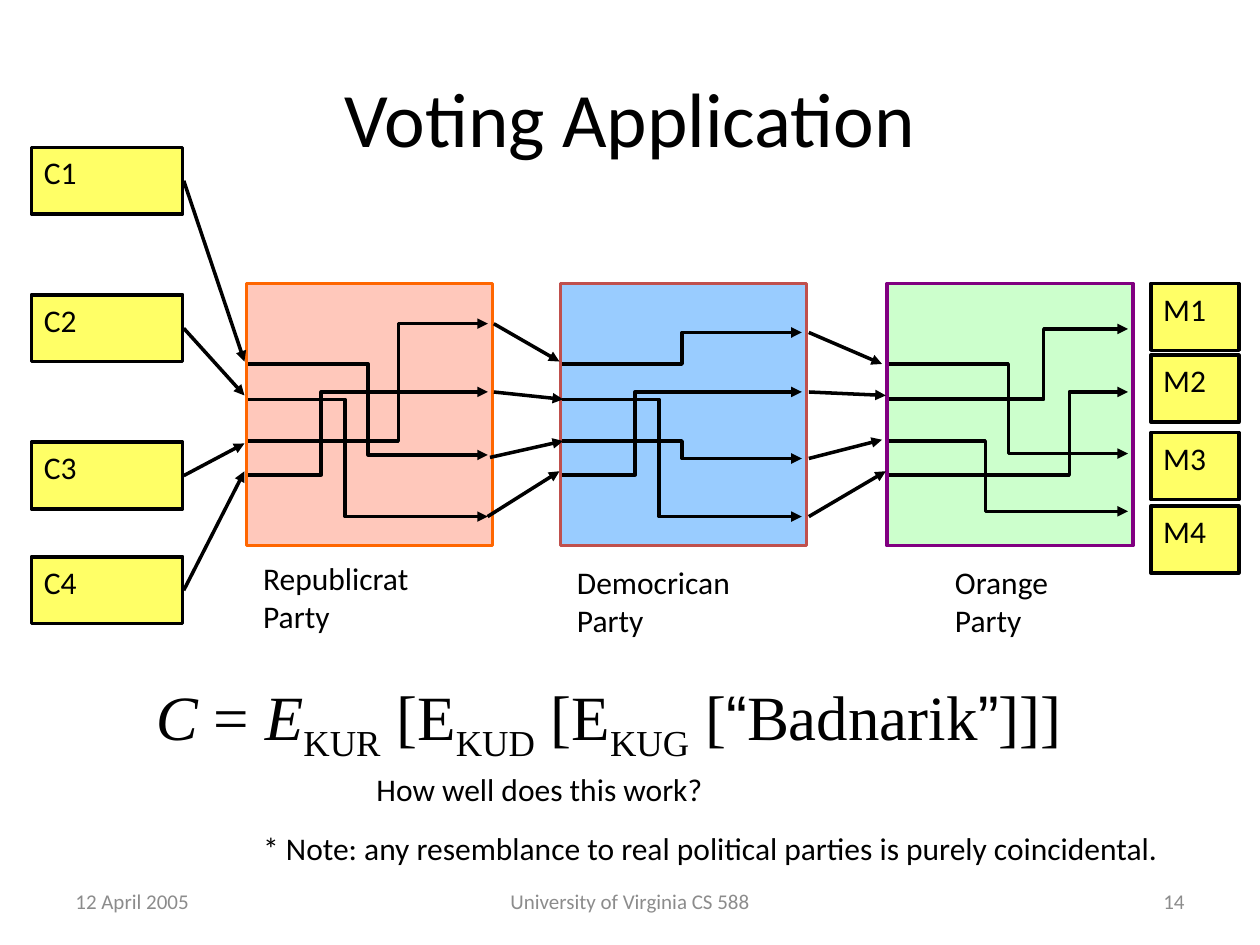
from pptx import Presentation
from pptx.dml.color import RGBColor
from pptx.enum.shapes import MSO_CONNECTOR as Connector, MSO_SHAPE as Shape
from pptx.enum.text import MSO_ANCHOR as Anchor, PP_ALIGN as Align
from pptx.oxml.ns import qn
from pptx.util import Pt
from lxml.etree import SubElement

THEME = {
    "font": "Calibri", "math": "Times New Roman", "quote": "Arial",
    "title": 44, "formula": 36, "body": 18, "footer": 12,
    "ink": "000000", "muted": "8C8C8C", "card": "FFFF66", "line": 2,
}

presentation = Presentation()
presentation.slide_width, presentation.slide_height = Pt(720), Pt(540)
slide = presentation.slides.add_slide(presentation.slide_layouts[6])


def write(text, left, top, width, height, size="body", color="ink",
          align=Align.LEFT, anchor=Anchor.TOP, fill=None, line="000000"):
    """Lines of text, each a string or a list of (text, font, italic, baseline)."""
    box = [Pt(value) for value in (left, top, width, height)]
    if fill:
        shape = slide.shapes.add_shape(Shape.RECTANGLE, *box)
        shape.shadow.inherit = False
        shape.fill.solid()
        shape.fill.fore_color.rgb = RGBColor.from_string(fill)
        shape.line.color.rgb = RGBColor.from_string(line)
        shape.line.width = Pt(THEME["line"])
    else:
        shape = slide.shapes.add_textbox(*box)
    frame = shape.text_frame
    frame.word_wrap = True
    frame.vertical_anchor = anchor
    for index, content in enumerate(text):
        paragraph = frame.add_paragraph() if index else frame.paragraphs[0]
        paragraph.alignment = align
        if isinstance(content, str):
            content = [(content, "font", False, 0)]
        for words, font, italic, baseline in content:
            run = paragraph.add_run()
            run.text = words
            run.font.name = THEME[font]
            run.font.size = Pt(THEME[size])
            run.font.italic = italic
            run.font.color.rgb = RGBColor.from_string(THEME[color])
            if baseline:
                run.font._element.set("baseline", str(baseline * 1000))


def arrow(start, end, turn=None):
    """Straight arrow, or an elbow bending at the given share of its width."""
    kind = Connector.STRAIGHT if turn is None else Connector.ELBOW
    connector = slide.shapes.add_connector(
        kind, *[Pt(value) for value in (*start, *end)])
    connector.line.color.rgb = RGBColor.from_string(THEME["ink"])
    connector.line.width = Pt(THEME["line"])
    properties = connector._element.spPr
    SubElement(properties.find(qn("a:ln")), qn("a:tailEnd"), type="triangle")
    SubElement(properties, qn("a:effectLst"))
    if turn is not None:
        guides = properties.find(qn("a:prstGeom")).get_or_add_avLst()
        SubElement(guides, qn("a:gd"), name="adj1",
                   fmla=f"val {round(turn * 100000)}")


# Footer and title
for text, left, width, align in [
    ("12 April 2005", 36, 168, Align.LEFT),
    ("University of Virginia CS 588", 246, 228, Align.CENTER),
    ("14", 516, 168, Align.RIGHT),
]:
    write([text], left, 500.5, width, 28.75, size="footer", color="muted",
          align=align, anchor=Anchor.MIDDLE)
write(["Voting Application"], 36, 21.6, 648, 90, size="title",
      align=Align.CENTER, anchor=Anchor.MIDDLE)

# Parties, each shuffling four inputs to (output height, turn)
input_heights = [208, 228.2, 252, 271.4]
parties = [
    ("Republicrat", 141, "FFC8BB", "FF6600", (143.3, 316),
     [(260, 0.5), (295.2, 0.404), (185, 0.626), (224, 0.304)]),
    ("Democrican", 320.4, "99CCFF", "C0504D", (322.6, 318.2),
     [(190, 0.5), (295.2, 0.404), (262, 0.5), (224, 0.304)]),
    ("Orange", 506.8, "CCFFCC", "800080", (538.6, 318.2),
     [(259.2, 0.5), (188, 0.648), (292.2, 0.404), (224, 0.755)]),
]
for name, left, fill, line, label, wires in parties:
    write([], left, 162, 140.6, 149.8, fill=fill, line=line)
    for height, (output, turn) in zip(input_heights, wires):
        arrow((left + 1, height), (left + 137.8, output), turn)
    write([name, "Party"], *label, 142, 65)

# Ciphertext and message cards
card_height = 38.2
client_tops = [84.2, 168.5, 252.7, 318.2]
message_tops = [162, 203, 247.2, 289.2]
for letter, left, width, tops in [("C", 18, 86.4, client_tops),
                                  ("M", 657.6, 50.4, message_tops)]:
    for number, top in enumerate(tops, 1):
        write([f"{letter}{number}"], left, top, width, card_height,
              fill=THEME["card"])

# Arrows into each party
entry_heights = [206.6, 226, 253.4, 269.3]
for top, entry in zip(client_tops, entry_heights):
    arrow((105, top + card_height / 2), (139.7, entry))
for start, end in [
    ((282.2, 185), (319.7, 206.6)), ((282.2, 224), (321.8, 228.2)),
    ((280, 261.4), (321.8, 252)), ((278.6, 295.2), (319.7, 269.3)),
    ((462.2, 190), (504, 208)), ((462.2, 224), (506.2, 226)),
    ((462.2, 262), (504, 251.3)), ((462.2, 295.2), (506.2, 269.3)),
]:
    arrow(start, end)

# Formula and remarks
formula = [("C", "math", True, 0), (" = ", "math", False, 0),
           ("E", "math", True, 0)]
for key, following in [("KUR", " [E"), ("KUD", " [E"), ("KUG", " [")]:
    formula += [(key, "math", False, -25), (following, "math", False, 0)]
formula += [("“", "quote", False, 0), ("Badnarik", "math", False, 0),
            ("”", "quote", False, 0), ("]]]", "math", False, 0)]
write([formula], 82, 383.8, 561, 50.4, size="formula")
write(["How well does this work?"], 208, 436.3, 284.4, 36)
write(["* Note: any resemblance to real political parties is purely coincidental."],
      143.3, 470.2, 567.4, 28.8)

presentation.save("out.pptx")
